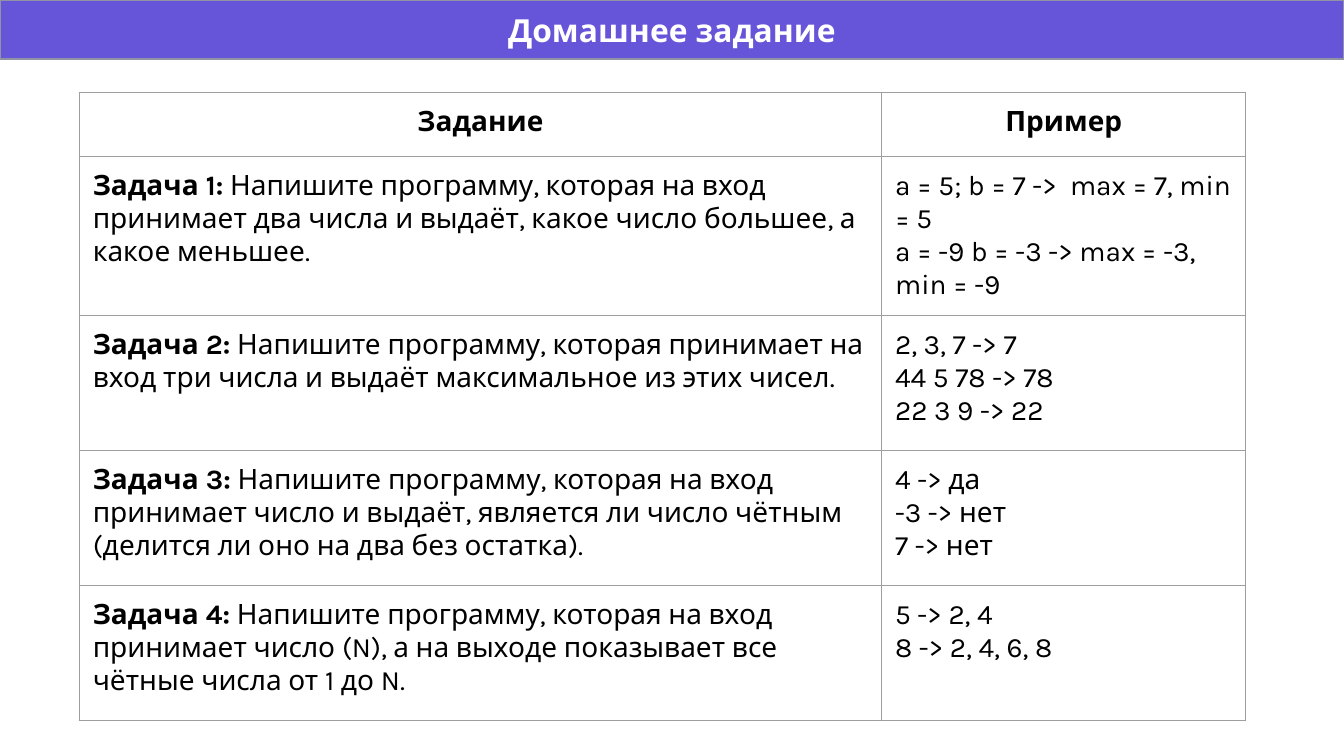
from dataclasses import dataclass

from lxml import etree
from pptx import Presentation
from pptx.dml.color import RGBColor
from pptx.enum.shapes import MSO_SHAPE
from pptx.enum.text import MSO_ANCHOR, PP_ALIGN
from pptx.oxml.ns import qn
from pptx.util import Emu, Pt

RECTANGLE = MSO_SHAPE.RECTANGLE
MIDDLE = MSO_ANCHOR.MIDDLE
LEFT, CENTER = PP_ALIGN.LEFT, PP_ALIGN.CENTER

EMU_PER_PX = 4572
PAGE_WIDTH, PAGE_HEIGHT = 2000, 1125
BANNER_HEIGHT = 88
TABLE_LEFT, TABLE_TOP = 118, 138
COLUMN_WIDTHS = (1194, 542)
HEADER_HEIGHT, TASK_HEIGHT = 95, 201
PADDING = 20

TITLE = "Домашнее задание"
HEADERS = ("Задание", "Пример")
TASKS = (
    (
        "Напишите программу, которая на вход принимает два числа и выдаёт, "
        "какое число большее, а какое меньшее.",
        ("a = 5; b = 7 ->  max = 7, min = 5", "a = -9 b = -3 -> max = -3, min = -9"),
    ),
    (
        "Напишите программу, которая принимает на вход три числа и выдаёт "
        "максимальное из этих чисел.",
        ("2, 3, 7 -> 7", "44 5 78 -> 78", "22 3 9 -> 22"),
    ),
    (
        "Напишите программу, которая на вход принимает число и выдаёт, "
        "является ли число чётным (делится ли оно на два без остатка).",
        ("4 -> да", "-3 -> нет", "7 -> нет"),
    ),
    (
        "Напишите программу, которая на вход принимает число (N), а на выходе "
        "показывает все чётные числа от 1 до N.",
        ("5 -> 2, 4", "8 -> 2, 4, 6, 8"),
    ),
)


@dataclass(frozen=True)
class Theme:
    font: str = "Karla"
    title_size: int = 17
    body_size: int = 15
    line_width: float = 0.75
    banner: str = "6654D9"
    banner_line: str = "8F93A3"
    title: str = "FFFFFF"
    text: str = "000000"
    grid: str = "9E9E9E"


def px(length):
    return Emu(length * EMU_PER_PX)


class PageBuilder:
    def __init__(self, page, theme):
        self.page = page
        self.theme = theme

    def style_span(self, span, size, color, bold):
        span.font.name = self.theme.font
        span.font.size = Pt(size)
        span.font.bold = bold
        span.font.color.rgb = RGBColor.from_string(color)

    def banner(self, title, width, height):
        box = self.page.shapes.add_shape(RECTANGLE, 0, 0, px(width), px(height))
        box.shadow.inherit = False
        box.fill.solid()
        box.fill.fore_color.rgb = RGBColor.from_string(self.theme.banner)
        box.line.color.rgb = RGBColor.from_string(self.theme.banner_line)
        box.line.width = Pt(self.theme.line_width)
        frame = box.text_frame
        frame.word_wrap = True
        frame.vertical_anchor = MIDDLE
        frame.margin_left = frame.margin_right = px(PADDING)
        frame.margin_top = frame.margin_bottom = px(PADDING)
        frame.text = title
        para = frame.paragraphs[0]
        para.alignment = CENTER
        self.style_span(para.runs[0], self.theme.title_size, self.theme.title, True)

    def table(self, left, top, widths, heights):
        frame = self.page.shapes.add_table(
            len(heights), len(widths), px(left), px(top), px(sum(widths)), px(sum(heights))
        )
        table = frame.table
        table.first_row = table.horz_banding = False
        for column, width in zip(table.columns, widths):
            column.width = px(width)
        for row, height in zip(table.rows, heights):
            row.height = px(height)
        for cell in table.iter_cells():
            cell.margin_left = cell.margin_right = px(PADDING)
            cell.margin_top = cell.margin_bottom = px(PADDING)
            self.borders(cell)
            cell.fill.background()
        return table

    def borders(self, cell):
        properties = cell._tc.get_or_add_tcPr()
        for side in ("a:lnL", "a:lnR", "a:lnT", "a:lnB"):
            line = etree.SubElement(properties, qn(side), w=str(Pt(self.theme.line_width)))
            fill = etree.SubElement(line, qn("a:solidFill"))
            etree.SubElement(fill, qn("a:srgbClr"), val=self.theme.grid)

    def cell_text(self, cell, lines, bold=False, alignment=LEFT):
        cell.text_frame.text = "\n".join(lines)
        for para in cell.text_frame.paragraphs:
            para.alignment = alignment
            for span in para.runs:
                self.style_span(span, self.theme.body_size, self.theme.text, bold)

    def task_text(self, cell, label, wording):
        self.cell_text(cell, [label], bold=True)
        span = cell.text_frame.paragraphs[0].add_run()
        span.text = f" {wording}"
        self.style_span(span, self.theme.body_size, self.theme.text, False)


def main():
    deck = Presentation()
    deck.slide_width, deck.slide_height = px(PAGE_WIDTH), px(PAGE_HEIGHT)
    page = deck.slides.add_slide(deck.slide_layouts[6])
    builder = PageBuilder(page, Theme())

    builder.banner(TITLE, PAGE_WIDTH, BANNER_HEIGHT)
    heights = [HEADER_HEIGHT] + [TASK_HEIGHT] * len(TASKS)
    table = builder.table(TABLE_LEFT, TABLE_TOP, COLUMN_WIDTHS, heights)
    for column, header in enumerate(HEADERS):
        builder.cell_text(table.cell(0, column), [header], bold=True, alignment=CENTER)
    for number, (wording, examples) in enumerate(TASKS, start=1):
        builder.task_text(table.cell(number, 0), f"Задача {number}:", wording)
        builder.cell_text(table.cell(number, 1), examples)

    deck.save("out.pptx")


if __name__ == "__main__":
    main()
